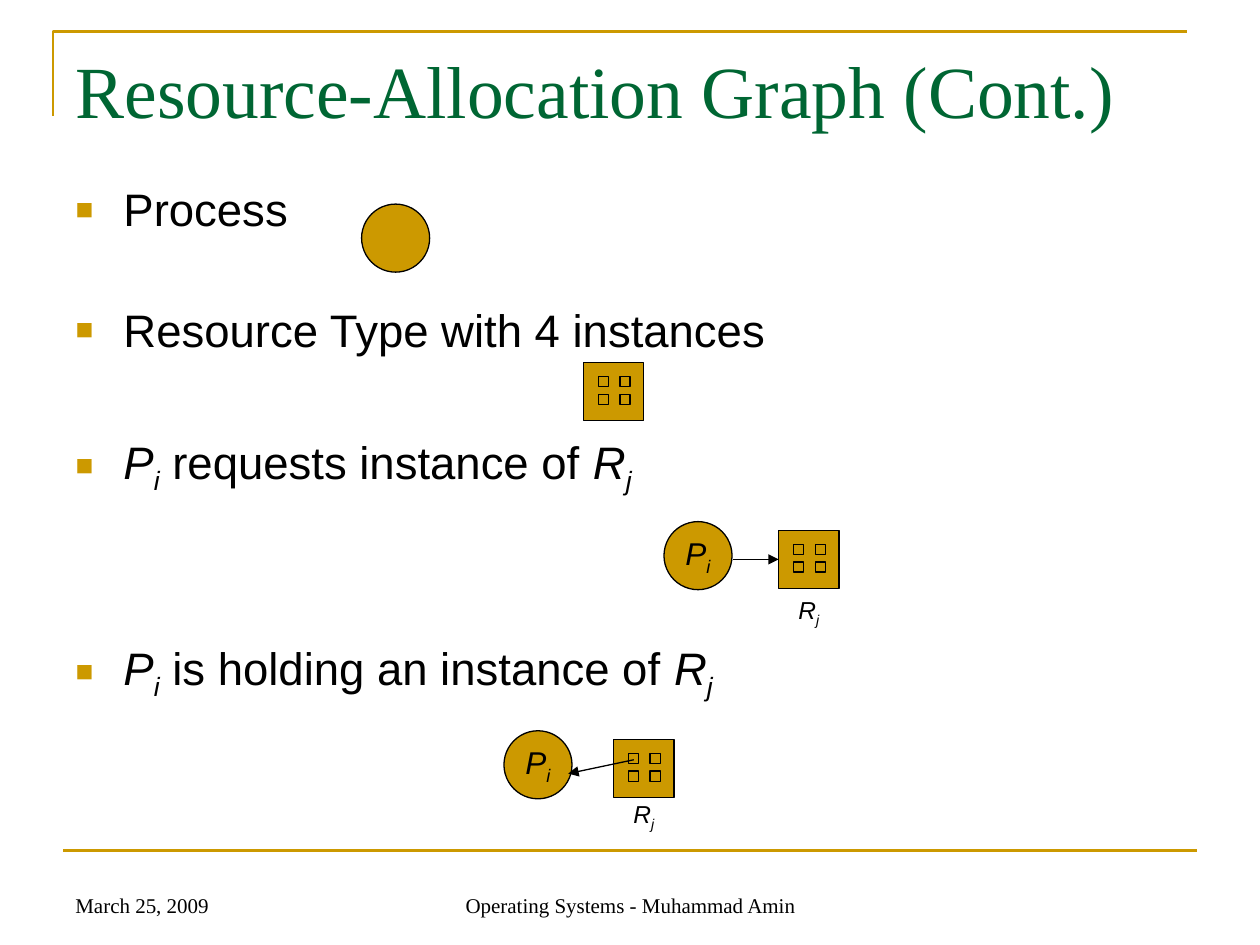
import pptx
import pptx.util
import pptx.dml.color
import pptx.enum.shapes
import pptx.enum.text
from lxml import etree

Inches, Pt = pptx.util.Inches, pptx.util.Pt
tint = pptx.dml.color.RGBColor.from_string
SHAPE = pptx.enum.shapes.MSO_SHAPE
ALIGN = pptx.enum.text.PP_ALIGN
ANCHOR = pptx.enum.text.MSO_ANCHOR
GOLD, BLACK, GREEN = "CC9900", "000000", "006633"
NS = "{http://schemas.openxmlformats.org/drawingml/2006/main}"


def write(par, text, size=26, font="Arial", color=BLACK, italic=False, sub=False):
    run = par.add_run()
    run.text = text
    run.font.size = Pt(size)
    run.font.name = font
    run.font.italic = italic
    run.font.color.rgb = tint(color)
    if sub:
        run._r.get_or_add_rPr().set("baseline", "-25000")


def draw(shapes, kind, x, y, w, h):
    shape = shapes.add_shape(kind, Inches(x), Inches(y), Inches(w), Inches(h))
    shape.shadow.inherit = False
    shape.fill.solid()
    shape.fill.fore_color.rgb = tint(GOLD)
    shape.line.color.rgb = tint(BLACK)
    shape.line.width = Pt(0.75)
    return shape


deck = pptx.Presentation()
deck.slide_width, deck.slide_height = Inches(10), Inches(7.5)
slide = deck.slides.add_slide(deck.slide_layouts[1])
shapes = slide.shapes

# Corner frame
pen = shapes.build_freeform(Inches(0.42), Inches(0.92))
pen.add_line_segments([(Inches(0.42), Inches(0.25)), (Inches(9.42), Inches(0.25))], close=False)
corner = pen.convert_to_shape()
corner.shadow.inherit = False
corner.fill.background()
corner.line.color.rgb = tint(GOLD)
corner.line.width = Pt(1.5)

# Title and list placeholders
title, body = shapes.title, slide.placeholders[1]
for holder, top, high, inset in [(title, 0.3, 1.25, 0.06), (body, 1.39, 4.25, 0.05)]:
    holder.left, holder.top = Inches(0.5), Inches(top)
    holder.width, holder.height = Inches(9), Inches(high)
    frame = holder.text_frame
    frame.auto_size = pptx.enum.text.MSO_AUTO_SIZE.NONE
    frame.vertical_anchor = ANCHOR.TOP
    frame.margin_top = Inches(inset)
par = title.text_frame.paragraphs[0]
par.alignment = ALIGN.LEFT
write(par, "Resource-Allocation Graph (Cont.)", size=42, font="Times New Roman", color=GREEN)

# Bulleted list: space before, then runs of (text, italic, subscript)
items = [
    (0, [("Process", False, False)]),
    (37.5, [("Resource Type with 4 instances", False, False)]),
    (44.5, [("P", True, False), ("i", True, True), (" requests instance of ", False, False),
            ("R", True, False), ("j", True, True)]),
    (82, [("P", True, False), ("i", True, True), (" is holding an instance of ", False, False),
          ("R", True, False), ("j", True, True)]),
]
for n, (gap, runs) in enumerate(items):
    par = body.text_frame.add_paragraph() if n else body.text_frame.paragraphs[0]
    par.space_before = Pt(gap)
    props = par._p.get_or_add_pPr()
    props.set("marL", str(Inches(0.38)))
    props.set("indent", str(Inches(-0.38)))
    hue = etree.SubElement(props, NS + "buClr")
    etree.SubElement(hue, NS + "srgbClr", val=GOLD)
    etree.SubElement(props, NS + "buSzPct", val="65000")
    etree.SubElement(props, NS + "buFont", typeface="Arial")
    etree.SubElement(props, NS + "buChar", char="■")
    for text, italic, sub in runs:
        write(par, text, italic=italic, sub=sub)

# Processes
for x, y, named in [(2.87, 1.62, False), (4, 5.8, True), (5.27, 4.14, True)]:
    disc = draw(shapes, SHAPE.OVAL, x, y, 0.54, 0.54)
    if named:
        disc.text_frame.word_wrap = False
        disc.text_frame.vertical_anchor = ANCHOR.MIDDLE
        par = disc.text_frame.paragraphs[0]
        par.alignment = ALIGN.CENTER
        write(par, "P", size=18, italic=True)
        write(par, "i", size=18, italic=True, sub=True)

# Resource types, each with four instances
boxes = []
for x, y in [(4.63, 2.88), (6.18, 4.21), (4.87, 5.87)]:
    group = shapes.add_group_shape()
    boxes.append(draw(group.shapes, SHAPE.RECTANGLE, x, y, 0.48, 0.46))
    for row in range(2):
        for col in range(2):
            draw(group.shapes, SHAPE.RECTANGLE,
                 x + 0.12 + 0.17 * col, y + 0.11 + 0.14 * row, 0.08, 0.08)

# Footer rule, request arrow and holding arrow
for x1, y1, x2, y2, color, width, goal in [
    (0.5, 6.75, 9.5, 6.75, GOLD, 1.5, None),
    (5.82, 4.44, 6.18, 4.44, BLACK, 0.75, boxes[1]),
    (5.03, 6.03, 4.51, 6.14, BLACK, 0.75, None),
]:
    line = shapes.add_connector(pptx.enum.shapes.MSO_CONNECTOR.STRAIGHT,
                                Inches(x1), Inches(y1), Inches(x2), Inches(y2))
    line.line.color.rgb = tint(color)
    line.line.width = Pt(width)
    if color == BLACK:
        etree.SubElement(line.line._get_or_add_ln(), NS + "tailEnd", type="triangle")
    etree.SubElement(line._element.spPr, NS + "effectLst")
    if goal is not None:
        line.end_connect(goal, 1)

# Resource labels
for x, y in [(6.24, 4.67), (4.93, 6.29)]:
    label = shapes.add_textbox(Inches(x), Inches(y), Inches(0.36), Inches(0.37))
    frame = label.text_frame
    frame.word_wrap = True
    frame.margin_left = frame.margin_right = 0
    frame.vertical_anchor = ANCHOR.MIDDLE
    par = frame.paragraphs[0]
    par.alignment = ALIGN.CENTER
    write(par, "R", size=14, italic=True)
    write(par, "j", size=14, italic=True, sub=True)

# Footer
for x, width, align, text in [
    (0.5, 2.33, ALIGN.LEFT, "March 25, 2009"),
    (3.42, 3.17, ALIGN.CENTER, "Operating Systems - Muhammad Amin"),
]:
    note = shapes.add_textbox(Inches(x), Inches(6.83), Inches(width), Inches(0.5))
    note.text_frame.word_wrap = True
    note.text_frame.vertical_anchor = ANCHOR.BOTTOM
    par = note.text_frame.paragraphs[0]
    par.alignment = align
    write(par, text, size=12, font="Times New Roman")

deck.save("out.pptx")
